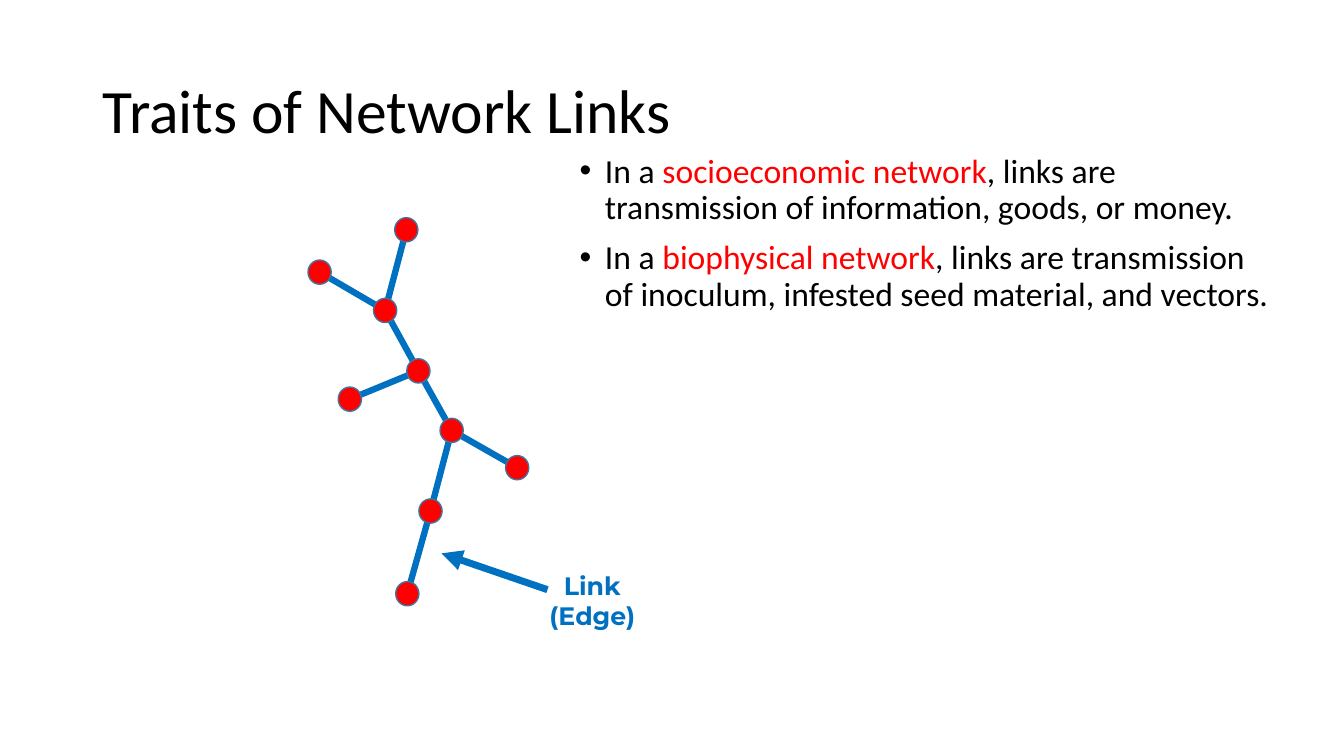
"""Build the slide on traits of network links."""
from dataclasses import dataclass

from pptx import Presentation
from pptx.dml.color import RGBColor
from pptx.enum import shapes, text
from pptx.oxml.ns import qn
from pptx.util import Inches, Pt

COLORS = {"text": "000000", "accent": "FF0000", "link": "0070C0",
          "node": "FF0000", "rim": "43739E"}
NODE_W, NODE_H = 0.23, 0.24


@dataclass
class Node:
    x: float
    y: float


@dataclass
class Link:
    start: Node
    end: Node
    width: float = 4.5
    arrow: bool = False


@dataclass
class Point:
    lead: str
    term: str
    rest: str


NODES = {
    "top": Node(4.03, 2.28), "left": Node(3.17, 2.7),
    "upper": Node(3.82, 3.08), "centre": Node(4.15, 3.68),
    "side": Node(3.47, 3.96), "lower": Node(4.48, 4.27),
    "right": Node(5.13, 4.64), "stem": Node(4.27, 5.07),
    "bottom": Node(4.04, 5.89),
}
PAIRS = [("top", "upper"), ("left", "upper"), ("upper", "centre"),
         ("side", "centre"), ("centre", "lower"), ("right", "lower"),
         ("lower", "stem"), ("stem", "bottom")]
POINTS = [
    Point("In a ", "socioeconomic network",
          ", links are transmission of information, goods, or money."),
    Point("In a ", "biophysical network",
          ", links are transmission of inoculum, infested seed material, and vectors."),
]


def rgb(name: str) -> RGBColor:
    """Return a named colour."""
    return RGBColor.from_string(COLORS[name])


def place(sp, left: float, top: float, width: float, height: float) -> None:
    """Move and size a shape."""
    sp.left, sp.top = Inches(left), Inches(top)
    sp.width, sp.height = Inches(width), Inches(height)


def style(r, size: float, color: str, name: str = "Calibri", bold: bool = False) -> None:
    """Format a run."""
    r.font.size, r.font.name, r.font.bold = Pt(size), name, bold
    r.font.color.rgb = rgb(color)


def add_title(slide) -> None:
    """Fill the title placeholder."""
    sp = slide.shapes.title
    place(sp, 0.92, 0.4, 11.5, 1.45)
    tf = sp.text_frame
    tf.text = "Traits of Network Links"
    tf.vertical_anchor = text.MSO_ANCHOR.MIDDLE
    tf.auto_size = text.MSO_AUTO_SIZE.NONE
    p = tf.paragraphs[0]
    p.alignment, p.line_spacing = text.PP_ALIGN.LEFT, 0.9
    style(p.runs[0], 44, "text")


def add_points(slide, points: list[Point]) -> None:
    """Fill the body placeholder with bulleted points."""
    sp = slide.placeholders[1]
    place(sp, 5.65, 1.48, 7.12, 6.09)
    tf = sp.text_frame
    tf.auto_size = text.MSO_AUTO_SIZE.NONE
    for i, point in enumerate(points):
        p = tf.add_paragraph() if i else tf.paragraphs[0]
        p.line_spacing, p.space_before = 0.9, Pt(10 if i else 0)
        pPr = p._p.get_or_add_pPr()
        pPr.set("marL", str(Inches(0.25)))
        pPr.set("indent", str(Inches(-0.25)))
        font = pPr.makeelement(qn("a:buFont"), {"typeface": "Arial"})
        bullet = pPr.makeelement(qn("a:buChar"), {"char": "•"})
        pPr.extend([font, bullet])
        for words, color in ((point.lead, "text"), (point.term, "accent"),
                             (point.rest, "text")):
            r = p.add_run()
            r.text = words
            style(r, 24, color)


def add_link(slide, link: Link) -> None:
    """Draw a link or an arrow."""
    sp = slide.shapes.add_connector(
        shapes.MSO_CONNECTOR.STRAIGHT, Inches(link.start.x), Inches(link.start.y),
        Inches(link.end.x), Inches(link.end.y))
    sp.line.color.rgb, sp.line.width = rgb("link"), Pt(link.width)
    spPr = sp._element.spPr
    if link.arrow:
        ln = sp.line._get_or_add_ln()
        ln.append(ln.makeelement(qn("a:tailEnd"), {"type": "triangle"}))
    spPr.append(spPr.makeelement(qn("a:effectLst"), {}))


def add_node(slide, node: Node) -> None:
    """Draw a node around its centre."""
    sp = slide.shapes.add_shape(
        shapes.MSO_SHAPE.OVAL, Inches(node.x - NODE_W / 2),
        Inches(node.y - NODE_H / 2), Inches(NODE_W), Inches(NODE_H))
    sp.shadow.inherit = False
    sp.fill.solid()
    sp.fill.fore_color.rgb = rgb("node")
    sp.line.color.rgb, sp.line.width = rgb("rim"), Pt(1)


def add_label(slide) -> None:
    """Write the label beside the arrow."""
    sp = slide.shapes.add_textbox(Inches(4.87), Inches(5.61), Inches(2.01), Inches(0.71))
    tf = sp.text_frame
    tf.word_wrap = True
    tf.auto_size = text.MSO_AUTO_SIZE.SHAPE_TO_FIT_TEXT
    tf.text = "Link\n(Edge)"
    for p in tf.paragraphs:
        p.alignment = text.PP_ALIGN.CENTER
        style(p.runs[0], 18, "link", "Montserrat", True)


def main() -> None:
    """Build and save the presentation."""
    prs = Presentation()
    prs.slide_width, prs.slide_height = Inches(13.33), Inches(7.5)
    slide = prs.slides.add_slide(prs.slide_layouts[1])
    add_title(slide)
    add_points(slide, POINTS)
    for start, end in PAIRS:
        add_link(slide, Link(NODES[start], NODES[end]))
    for node in NODES.values():
        add_node(slide, node)
    add_label(slide)
    add_link(slide, Link(Node(5.43, 5.85), Node(4.38, 5.49), 5, True))
    prs.save("out.pptx")


if __name__ == "__main__":
    main()
